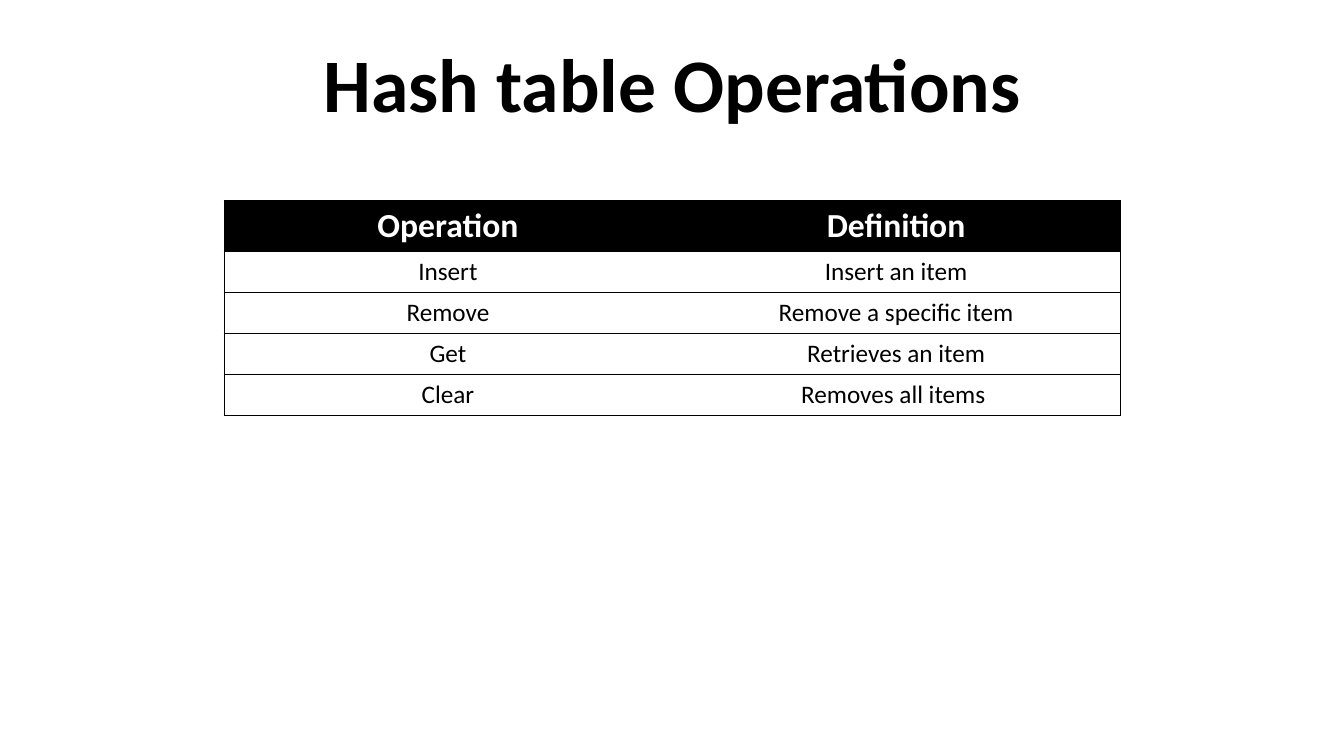
from dataclasses import dataclass

from lxml.etree import SubElement
from pptx import Presentation
from pptx.dml.color import RGBColor
from pptx.enum.text import MSO_ANCHOR, MSO_AUTO_SIZE, PP_ALIGN
from pptx.oxml.ns import qn
from pptx.util import Inches, Pt


@dataclass(frozen=True)
class Theme:
    font: str = "Calibri"
    ink: str = "000000"
    paper: str = "FFFFFF"
    title_size: int = 54
    header_size: int = 24
    body_size: int = 18
    border_width: float = 0.5


class SlideBuilder:
    def __init__(self, page, theme):
        self.page = page
        self.theme = theme

    def style(self, paragraph, size, color, bold):
        paragraph.alignment = PP_ALIGN.CENTER
        for span in paragraph.runs:
            span.font.name = self.theme.font
            span.font.size = Pt(size)
            span.font.bold = bold
            span.font.color.rgb = RGBColor.from_string(color)

    def title(self, text, left, top, width, height):
        box = self.page.shapes.title
        box.left, box.top = Inches(left), Inches(top)
        box.width, box.height = Inches(width), Inches(height)
        frame = box.text_frame
        frame.text = text
        frame.word_wrap = True
        frame.auto_size = MSO_AUTO_SIZE.NONE
        frame.vertical_anchor = MSO_ANCHOR.BOTTOM
        para = frame.paragraphs[0]
        para.line_spacing = 0.9
        self.style(para, self.theme.title_size, self.theme.ink, True)

    def border(self, cell, side, visible):
        properties = cell._tc.get_or_add_tcPr()
        line = SubElement(properties, qn(f"a:ln{side}"), w=str(Pt(self.theme.border_width)))
        if visible:
            fill = SubElement(line, qn("a:solidFill"))
            SubElement(fill, qn("a:srgbClr"), val=self.theme.ink)
        else:
            SubElement(line, qn("a:noFill"))

    def table(self, rows, left, top, width, header_height, row_height):
        theme = self.theme
        column_count = len(rows[0])
        height = header_height + row_height * (len(rows) - 1)
        table = self.page.shapes.add_table(
            len(rows), column_count, Inches(left), Inches(top), Inches(width), Inches(height)
        ).table
        table.horz_banding = False
        for row_index, texts in enumerate(rows):
            header = row_index == 0
            table.rows[row_index].height = Inches(header_height if header else row_height)
            for column_index, text in enumerate(texts):
                cell = table.cell(row_index, column_index)
                cell.text = text
                self.border(cell, "L", column_index == 0)
                self.border(cell, "R", column_index == column_count - 1)
                self.border(cell, "T", True)
                self.border(cell, "B", True)
                cell.fill.solid()
                cell.fill.fore_color.rgb = RGBColor.from_string(theme.ink if header else theme.paper)
                self.style(
                    cell.text_frame.paragraphs[0],
                    theme.header_size if header else theme.body_size,
                    theme.paper if header else theme.ink,
                    header,
                )


def main():
    deck = Presentation()
    deck.slide_width, deck.slide_height = Inches(13.33), Inches(7.5)
    page = deck.slides.add_slide(deck.slide_layouts[5])
    builder = SlideBuilder(page, Theme())
    builder.title("Hash table Operations", 1.67, 0.54, 10, 0.79)
    operations = [
        ("Operation", "Definition"),
        ("Insert", "Insert an item"),
        ("Remove", "Remove a specific item"),
        ("Get", "Retrieves an item"),
        ("Clear", "Removes all items "),
    ]
    builder.table(operations, 2.22, 1.99, 8.89, 0.5, 0.4)
    deck.save("out.pptx")


if __name__ == "__main__":
    main()
